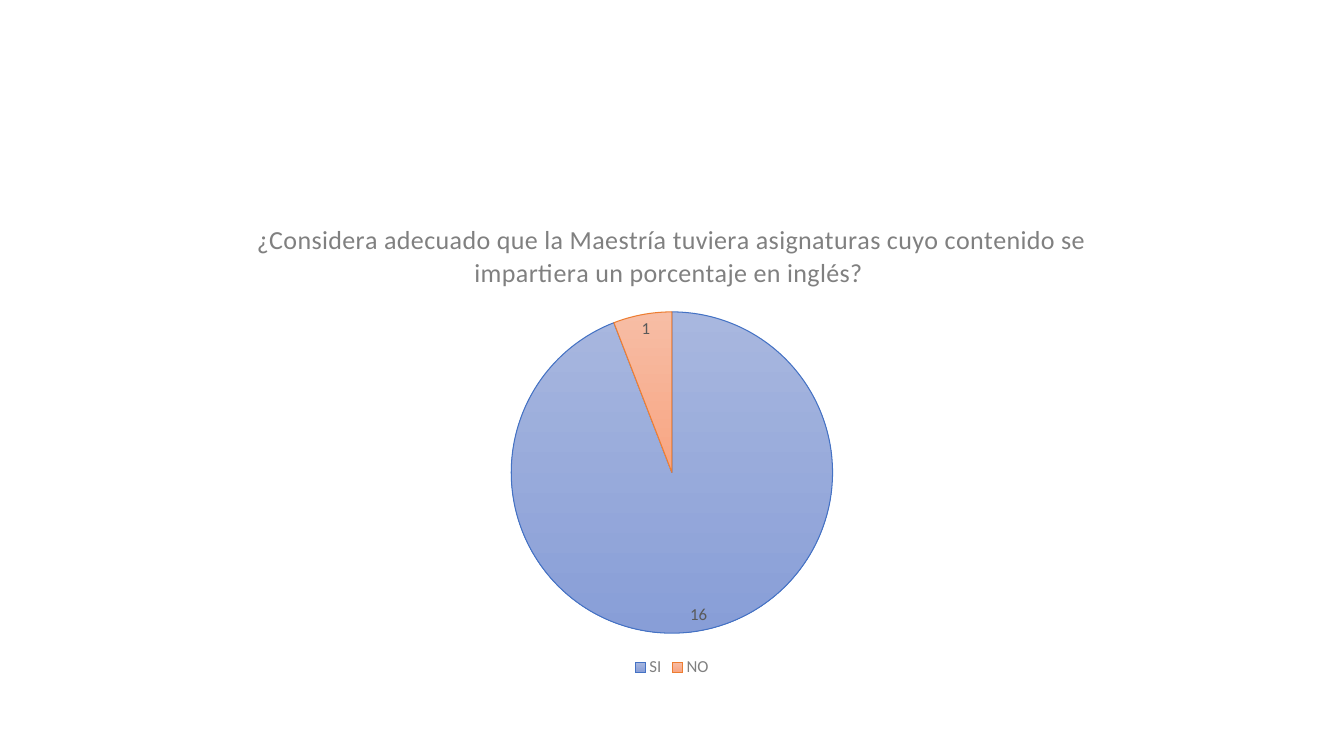
from lxml import etree
from pptx import Presentation
from pptx.chart.data import CategoryChartData
from pptx.dml.color import RGBColor
from pptx.enum.chart import XL_CHART_TYPE, XL_LABEL_POSITION, XL_LEGEND_POSITION
from pptx.oxml.ns import qn
from pptx.util import Pt

FONT = "Calibri"
COLORS = {"gray": "808080", "label": "595959"}
# Gradient top, gradient bottom and outline of each slice
SLICES = {
    "SI": ("A8B7DF", "889ED7", "4472C4"),
    "NO": ("F7BDA5", "F8A582", "ED7D31"),
}


def style_font(font, size, color):
    font.name = FONT
    font.size = Pt(size)
    font.bold = False
    font.color.rgb = RGBColor.from_string(color)


deck = Presentation()
deck.slide_width, deck.slide_height = Pt(960), Pt(540)
page = deck.slides.add_slide(deck.slide_layouts[6])

# Pie chart
survey = CategoryChartData()
survey.categories = list(SLICES)
survey.add_series("Series 1", (16, 1))
chart = page.shapes.add_chart(
    XL_CHART_TYPE.PIE, Pt(66), Pt(144), Pt(828), Pt(342.6), survey
).chart
style_font(chart.font, 10, "000000")

# Title
para = chart.chart_title.text_frame.paragraphs[0]
para.text = "¿Considera adecuado que la Maestría tuviera asignaturas cuyo contenido se impartiera un porcentaje en inglés? "
style_font(para.runs[0].font, 18.6, COLORS["gray"])
para.runs[0].font._element.set("spc", "20")
chart.chart_title.include_in_layout = False

# Legend
chart.has_legend = True
chart.legend.position = XL_LEGEND_POSITION.BOTTOM
chart.legend.include_in_layout = False
style_font(chart.legend.font, 12, COLORS["gray"])

# Slices
plot = chart.plots[0]
plot.vary_by_categories = True
for index, (top, bottom, outline) in enumerate(SLICES.values()):
    slice_format = plot.series[0].points[index].format
    slice_format.fill.gradient()
    slice_format.fill.gradient_angle = 270
    for stop, position, color in zip(slice_format.fill.gradient_stops, (0, 1), (top, bottom)):
        stop.position = position
        stop.color.rgb = RGBColor.from_string(color)
    slice_format.line.width = Pt(0.75)
    slice_format.line.color.rgb = RGBColor.from_string(outline)

# Value labels
labels = plot.series[0].data_labels
labels.show_value = True
labels.show_percentage = False
labels.show_legend_key = False
labels.position = XL_LABEL_POSITION.BEST_FIT
style_font(labels.font, 12, COLORS["label"])

# Plot area position, as fractions of the chart
plot_area = chart._chartSpace.chart.plotArea
for old in plot_area.findall(qn("c:layout")):
    plot_area.remove(old)
layout = etree.Element(qn("c:layout"))
manual = etree.SubElement(layout, qn("c:manualLayout"))
for tag, value in (
    ("layoutTarget", "inner"), ("xMode", "edge"), ("yMode", "edge"),
    ("x", "0.36"), ("y", "0.23"), ("w", "0.28"), ("h", "0.67"),
):
    etree.SubElement(manual, qn("c:" + tag)).set("val", value)
plot_area.insert(0, layout)

deck.save("out.pptx")
